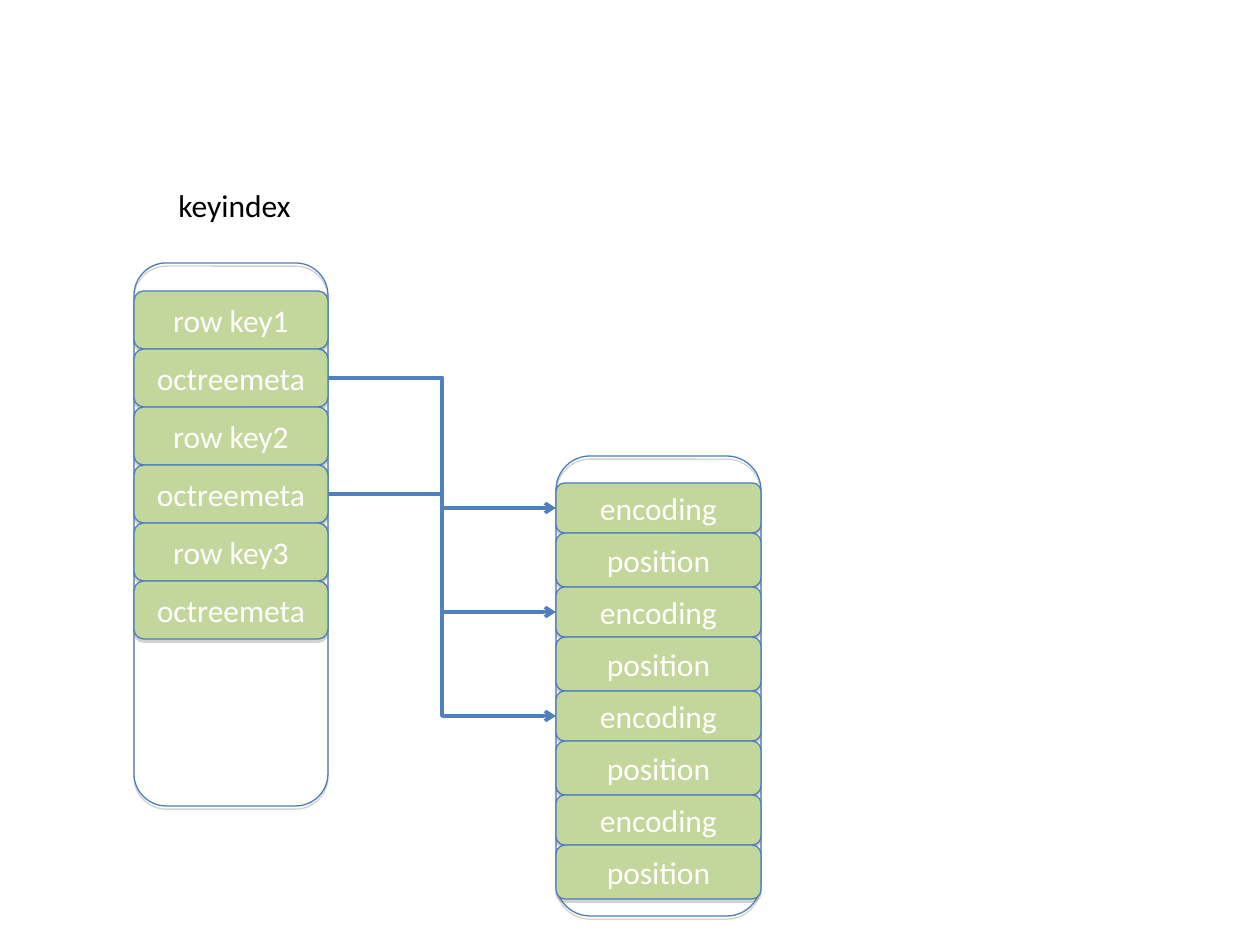
from pptx import Presentation
from pptx import util as u
from pptx.dml.color import RGBColor
from pptx.enum import shapes, text
from pptx.oxml import parse_xml
from pptx.oxml.ns import nsdecls

PX = u.Inches(1) / 126
GREEN = RGBColor(0xC3, 0xD6, 0x9B)
OUTLINE = RGBColor(0x4A, 0x7E, 0xBB)
ARROW = RGBColor(0x4F, 0x81, 0xBD)
WHITE = RGBColor(0xFF, 0xFF, 0xFF)
BLACK = RGBColor(0, 0, 0)

SHADOW = (
    f'<a:outerShdw {nsdecls("a")} blurRad="0" dist="{u.Pt(1.8)}" dir="5400000" rotWithShape="0">'
    '<a:srgbClr val="808080"><a:alpha val="35000"/></a:srgbClr></a:outerShdw>'
)
RIGHT_SITE, LEFT_SITE = 3, 1


def emu(*lengths):
    return [round(length * PX) for length in lengths]


class Diagram:
    font = {"name": "Calibri", "size": u.Pt(18)}

    def __init__(self, slide):
        self.slide = slide

    def put_words(self, frame, words, color, **layout):
        for name, value in layout.items():
            setattr(frame, name, value)
        run = frame.paragraphs[0].add_run()
        run.text = words
        for name, value in self.font.items():
            setattr(run.font, name, value)
        run.font.color.rgb = color

    def label(self, words, *box):
        heading = self.slide.shapes.add_textbox(*emu(*box))
        self.put_words(heading.text_frame, words, BLACK, word_wrap=False,
                       auto_size=text.MSO_AUTO_SIZE.SHAPE_TO_FIT_TEXT)

    def frame(self, *box):
        outline = self.slide.shapes.add_shape(shapes.MSO_SHAPE.ROUNDED_RECTANGLE, *emu(*box))
        outline.fill.background()
        outline.line.color.rgb = OUTLINE
        outline.line.width = u.Pt(0.75)
        outline.shadow.inherit = False
        effects = outline.element.spPr.find("{*}effectLst")
        effects.append(parse_xml(SHADOW))
        return outline

    def cell(self, words, *box, margin=0):
        entry = self.frame(*box)
        entry.fill.solid()
        entry.fill.fore_color.rgb = GREEN
        self.put_words(entry.text_frame, words, WHITE, word_wrap=True, margin_top=margin,
                       margin_bottom=margin, vertical_anchor=text.MSO_ANCHOR.MIDDLE)
        entry.text_frame.paragraphs[0].alignment = text.PP_ALIGN.CENTER
        return entry

    def arrow(self, source, target):
        link = self.slide.shapes.add_connector(shapes.MSO_CONNECTOR.ELBOW, 0, 0, 0, 0)
        link.begin_connect(source, RIGHT_SITE)
        link.end_connect(target, LEFT_SITE)
        link.line.color.rgb = ARROW
        link.line.width = u.Pt(2)
        properties = link.element.spPr
        properties.find("{*}ln").append(parse_xml(f'<a:tailEnd {nsdecls("a")} type="arrow"/>'))
        properties.append(parse_xml(f'<a:effectLst {nsdecls("a")}/>'))


def main():
    deck = Presentation()
    deck.slide_width, deck.slide_height = u.Inches(10), u.Inches(7.5)
    diagram = Diagram(deck.slides.add_slide(deck.slide_layouts[6]))

    diagram.label("keyindex", 166, 180, 139, 50)

    diagram.frame(134, 263, 194, 543)
    octrees = []
    for index in range(3):
        top = 291 + 116 * index
        diagram.cell(f"row key{index + 1}", 134, top, 194, 58, margin=u.Inches(0.05))
        octrees.append(diagram.cell("octreemeta", 134, top + 58, 194, 58, margin=u.Inches(0.05)))

    diagram.frame(556, 456, 205, 460)
    encodings = []
    for index in range(4):
        top = 483 + 104 * index
        encodings.append(diagram.cell("encoding", 556, top, 205, 50))
        diagram.cell("position", 556, top + 50, 205, 54)

    for octree, encoding in ((0, 0), (0, 1), (1, 2)):
        diagram.arrow(octrees[octree], encodings[encoding])

    deck.save("out.pptx")


if __name__ == "__main__":
    main()
